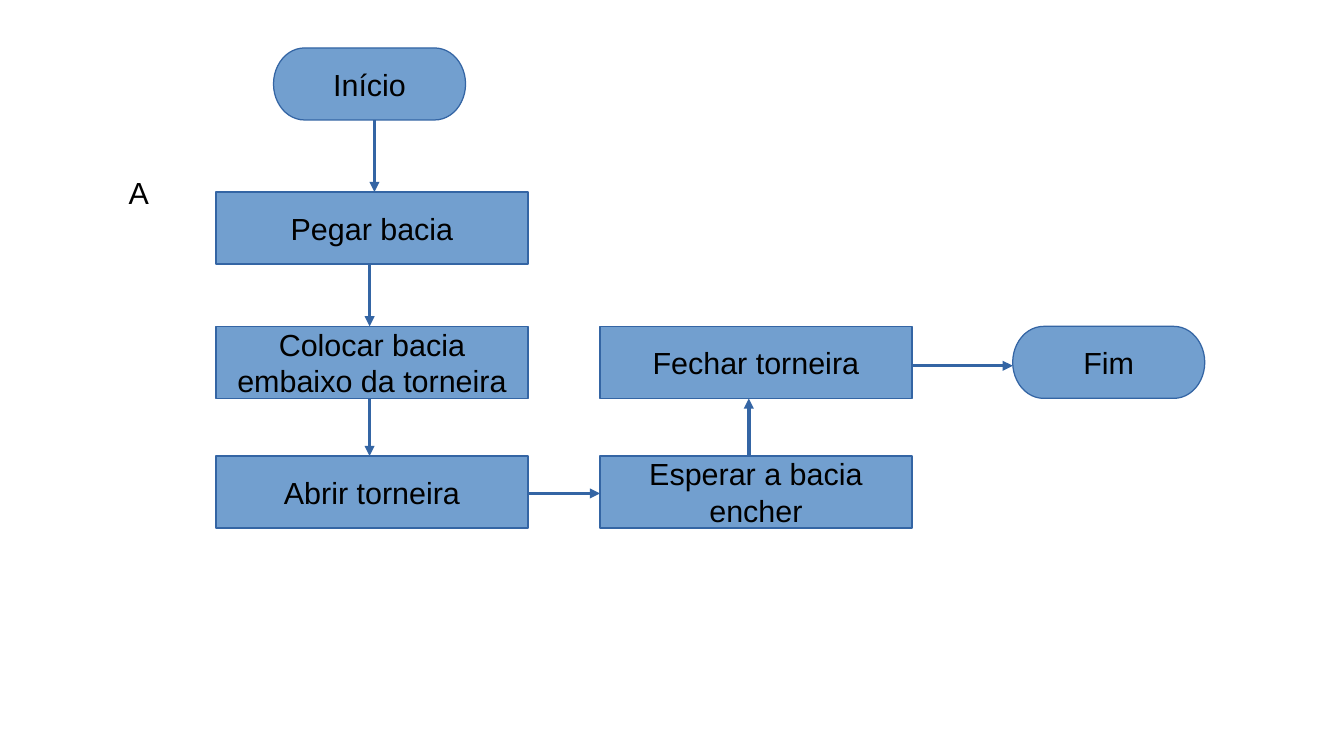
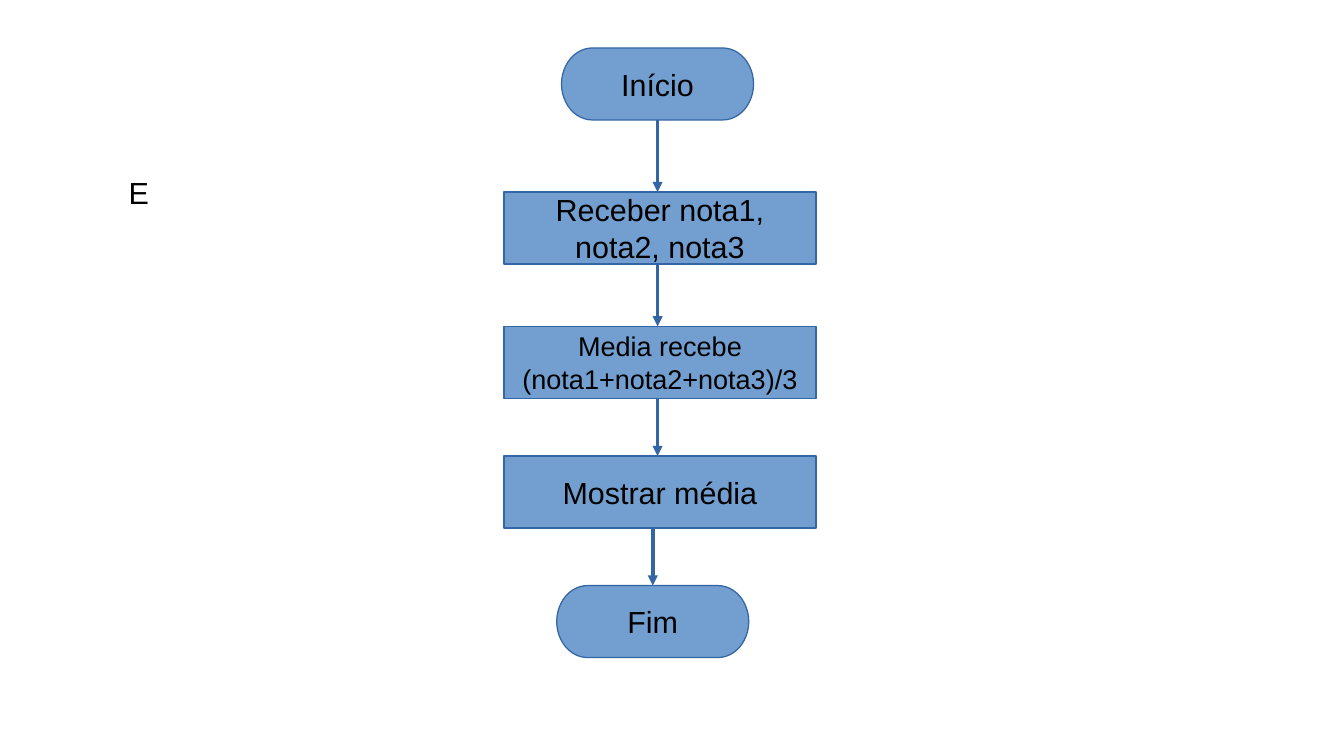
from lxml.etree import SubElement
from pptx import Presentation
from pptx.dml.color import RGBColor
from pptx.enum.shapes import MSO_CONNECTOR, MSO_SHAPE
from pptx.enum.text import MSO_ANCHOR, MSO_AUTO_SIZE, PP_ALIGN
from pptx.oxml.ns import qn
from pptx.util import Cm, Pt

FLOWS = [
    {
        "label": "A",
        "steps": [
            ("Início", "terminal", 5.7, 0),
            ("Pegar bacia", "process", 4.5, 1),
            ("Colocar bacia embaixo da torneira", "process", 4.5, 2),
            ("Abrir torneira", "process", 4.5, 3),
            ("Esperar a bacia encher", "process", 12.5, 3),
            ("Fechar torneira", "process", 12.5, 2),
            ("Fim", "terminal", 21.1, 2),
        ],
        "lanes": [7.8, 7.7, 7.7, 10.28, 15.6, 7.62],
    },
    {
        "label": "E",
        "steps": [
            ("Início", "terminal", 11.7, 0),
            ("Receber nota1, nota2, nota3", "process", 10.5, 1),
            ("Media recebe (nota1+nota2+nota3)/3", "process", 10.5, 2),
            ("Mostrar média", "process", 10.5, 3),
            ("Fim", "terminal", 11.6, 4),
        ],
        "lanes": [13.7, 13.7, 13.7, 13.6],
    },
]

ROW_TOPS = [1, 4, 6.8, 9.5, 12.2]
STEP_HEIGHT = 1.5
KINDS = {
    "terminal": (MSO_SHAPE.FLOWCHART_TERMINATOR, 4),
    "process": (MSO_SHAPE.FLOWCHART_PROCESS, 6.5),
}
SMALL_TEXT = {"Media recebe (nota1+nota2+nota3)/3": 16}
FILL, OUTLINE, INK = "729FCF", "3465A4", "000000"
STEP_FRAME = {"word_wrap": True, "vertical_anchor": MSO_ANCHOR.MIDDLE}
LABEL_FRAME = {"word_wrap": False, "auto_size": MSO_AUTO_SIZE.SHAPE_TO_FIT_TEXT}


def rgb(color):
    return RGBColor.from_string(color)


def apply(target, formats):
    for name, value in formats.items():
        setattr(target, name, value)


def write(shape, text, frame_format, alignment, size=18):
    frame = shape.text_frame
    apply(frame, frame_format)
    paragraph = frame.paragraphs[0]
    paragraph.alignment = alignment
    run = paragraph.add_run()
    run.text = text
    apply(run.font, {"name": "Arial", "size": Pt(size)})
    run.font.color.rgb = rgb(INK)


def outline(shape):
    shape.line.color.rgb = rgb(OUTLINE)
    shape.line.width = Cm(0)


def add_step(slide, text, kind, left, row):
    preset, width = KINDS[kind]
    step = slide.shapes.add_shape(
        preset, Cm(left), Cm(ROW_TOPS[row]), Cm(width), Cm(STEP_HEIGHT))
    step.shadow.inherit = False
    step.fill.solid()
    step.fill.fore_color.rgb = rgb(FILL)
    outline(step)
    write(step, text, STEP_FRAME, PP_ALIGN.CENTER, SMALL_TEXT.get(text, 18))


def arrow_ends(source, target, lane):
    _, kind, left, row = source
    _, _, next_left, next_row = target
    if row == next_row:
        return left + KINDS[kind][1], lane, next_left, lane
    top, next_top = ROW_TOPS[row], ROW_TOPS[next_row]
    if next_row > row:
        return lane, top + STEP_HEIGHT, lane, next_top
    return lane, top, lane, next_top + STEP_HEIGHT


def add_arrow(slide, ends):
    arrow = slide.shapes.add_connector(MSO_CONNECTOR.STRAIGHT, *map(Cm, ends))
    outline(arrow)
    SubElement(arrow.line._get_or_add_ln(), qn("a:tailEnd"), type="triangle")
    SubElement(arrow._element.spPr, qn("a:effectLst"))


def add_flow(deck, flow):
    slide = deck.slides.add_slide(deck.slide_layouts[6])
    steps = flow["steps"]
    for step in steps:
        add_step(slide, *step)
    for source, target, lane in zip(steps, steps[1:], flow["lanes"]):
        add_arrow(slide, arrow_ends(source, target, lane))
    label = slide.shapes.add_textbox(Cm(2.43), Cm(3.5), Cm(0.93), Cm(0.96))
    write(label, flow["label"], LABEL_FRAME, PP_ALIGN.LEFT)


def main():
    deck = Presentation()
    apply(deck, {"slide_width": Cm(28), "slide_height": Cm(15.75)})
    for flow in FLOWS:
        add_flow(deck, flow)
    deck.save("out.pptx")


if __name__ == "__main__":
    main()
